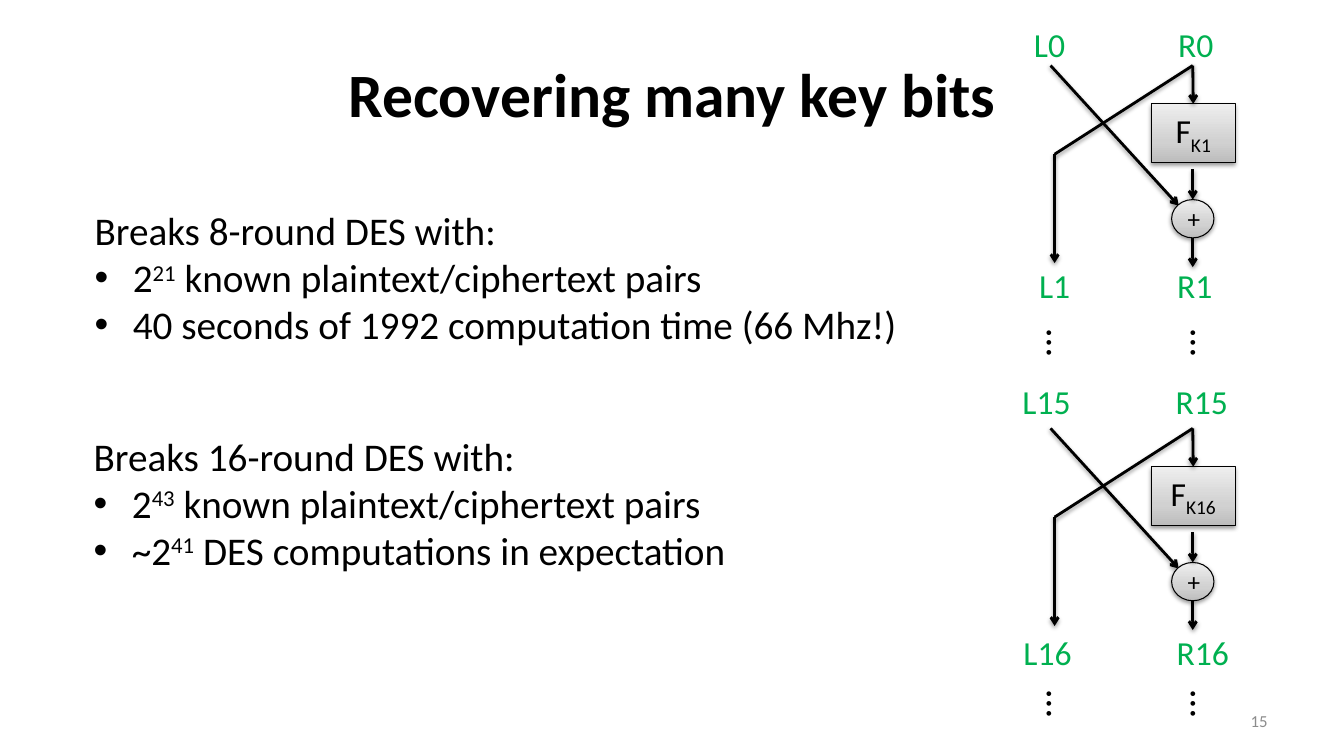
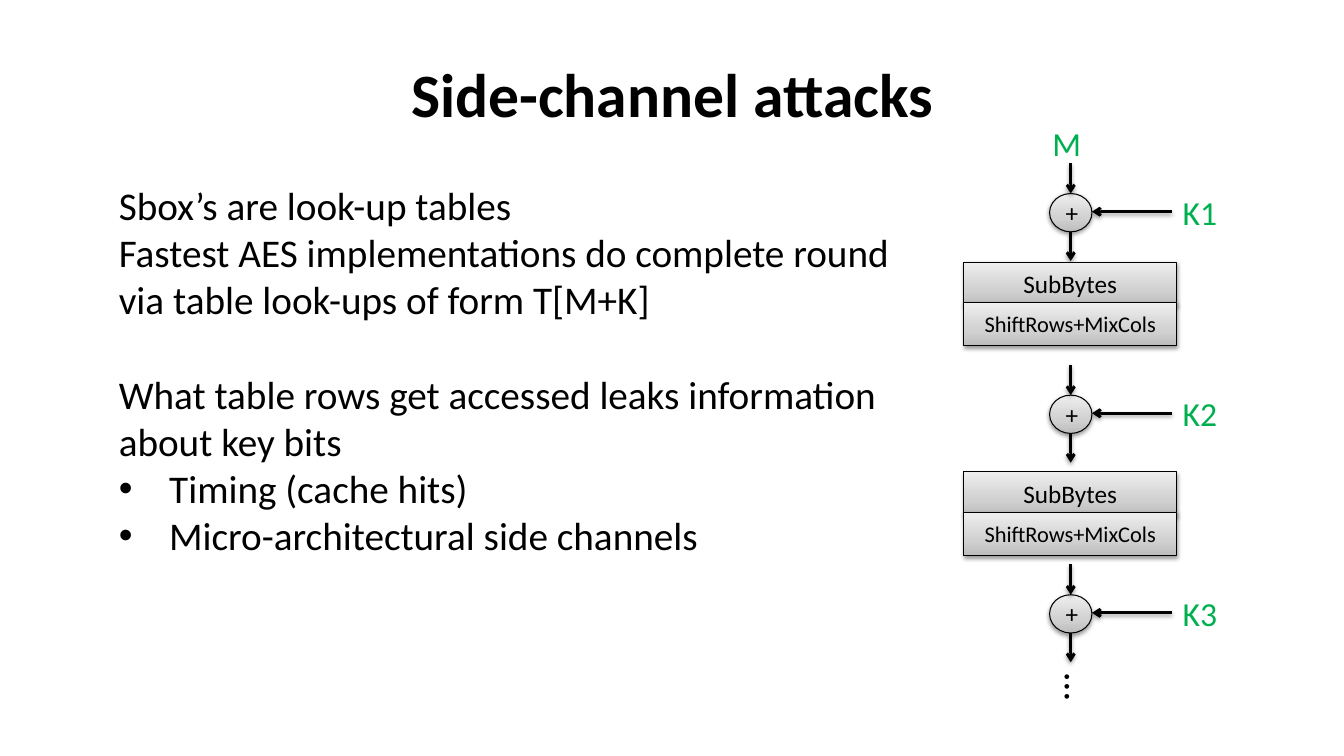
"""Build two lecture slides on attacks against block ciphers."""
from copy import deepcopy

from lxml.etree import SubElement
from pptx import Presentation
from pptx.dml.color import RGBColor
from pptx.enum.shapes import MSO_CONNECTOR, MSO_SHAPE
from pptx.enum.text import MSO_ANCHOR, PP_ALIGN
from pptx.oxml.ns import qn
from pptx.util import Inches, Pt

BLACK = RGBColor(0x00, 0x00, 0x00)
GREEN = RGBColor(0x00, 0xB0, 0x50)
GREY = RGBColor(0x8C, 0x8C, 0x8C)
SHADES = (
    (0, RGBColor(0xBD, 0xBD, 0xBD)),
    (0.35, RGBColor(0xD1, 0xD1, 0xD1)),
    (1, RGBColor(0xEE, 0xEE, 0xEE)),
)
FONT = "Calibri"
SUPERSCRIPT, SUBSCRIPT = "30000", "-25000"


def write_text(frame, text, size=28, color=BLACK, bold=False, align=PP_ALIGN.LEFT,
               anchor=MSO_ANCHOR.TOP, wrap=True, script=SUPERSCRIPT, indent=0.38, gaps=None):
    """Fill a frame line by line; "•" starts a bullet and bars enclose raised or lowered text."""
    frame.word_wrap = wrap
    frame.vertical_anchor = anchor
    for index, line in enumerate(text.split("\n")):
        paragraph = frame.add_paragraph() if index else frame.paragraphs[0]
        paragraph.alignment = align
        if gaps and index in gaps:
            paragraph.space_before = Pt(gaps[index])
        if line.startswith("•"):
            line = line[1:]
            properties = paragraph._p.get_or_add_pPr()
            properties.set("marL", str(Inches(indent)))
            properties.set("indent", str(-Inches(indent)))
            SubElement(properties, qn("a:buFont"), typeface="Arial")
            SubElement(properties, qn("a:buChar"), char="•")
        for position, part in enumerate(line.split("|")):
            if not part:
                continue
            run = paragraph.add_run()
            run.text = part
            run.font.name = FONT
            run.font.size = Pt(size)
            run.font.bold = bold
            run.font.color.rgb = color
            if position % 2:
                run._r.get_or_add_rPr().set("baseline", script)


class Deck:
    """Hold the shared style and the slide being built."""

    def __init__(self):
        self.presentation = Presentation()
        self.presentation.slide_width = Inches(13.33)
        self.presentation.slide_height = Inches(7.5)
        self.slide = None

    def new_slide(self, title):
        self.slide = self.presentation.slides.add_slide(self.presentation.slide_layouts[6])
        self.text(title, 0.67, 0.3, 12, 1.25, size=44, bold=True,
                  align=PP_ALIGN.CENTER, anchor=MSO_ANCHOR.MIDDLE)

    def text(self, content, left, top, width, height, **style):
        box = self.slide.shapes.add_textbox(
            Inches(left), Inches(top), Inches(width), Inches(height))
        write_text(box.text_frame, content, **style)
        return box

    def label(self, content, center, top):
        self.text(content, center - 0.4, top, 0.8, 0.5, size=24, color=GREEN,
                  align=PP_ALIGN.CENTER, wrap=False)

    def dots(self, left, top):
        self.text("…", left, top, 0.47, 0.57, wrap=False).rotation = 90

    def page_number(self, number):
        self.text(number, 9.56, 6.95, 3.11, 0.4, size=12, color=GREY,
                  align=PP_ALIGN.RIGHT, anchor=MSO_ANCHOR.MIDDLE)

    def cast_shadow(self, item):
        effects = SubElement(item._element.spPr, qn("a:effectLst"))
        shadow = SubElement(effects, qn("a:outerShdw"), blurRad=str(Pt(3.1)),
                            dist=str(Pt(1.6)), dir="5400000", rotWithShape="0")
        tint = SubElement(shadow, qn("a:srgbClr"), val=str(BLACK))
        SubElement(tint, qn("a:alpha"), val="38000")

    def block(self, content, left, top, width, height, size=18, kind=MSO_SHAPE.RECTANGLE):
        shape = self.slide.shapes.add_shape(
            kind, Inches(left), Inches(top), Inches(width), Inches(height))
        shape.fill.gradient()
        shape.fill.gradient_angle = 90
        stops = shape._element.spPr.find(".//" + qn("a:gsLst"))
        stops.insert(1, deepcopy(stops[0]))
        for stop, (position, shade) in zip(shape.fill.gradient_stops, SHADES):
            stop.position = position
            stop.color.rgb = shade
        shape.line.color.rgb = BLACK
        shape.line.width = Pt(0.75)
        self.cast_shadow(shape)
        write_text(shape.text_frame, content, size=size, align=PP_ALIGN.CENTER,
                   anchor=MSO_ANCHOR.MIDDLE, script=SUBSCRIPT)
        return shape

    def line(self, start, end, arrow=True, target=None):
        points = [Inches(value) for value in (*start, *end)]
        connector = self.slide.shapes.add_connector(MSO_CONNECTOR.STRAIGHT, *points)
        if target is not None:
            connector.end_connect(target, 0)
        connector.line.color.rgb = BLACK
        connector.line.width = Pt(2)
        if arrow:
            SubElement(connector._element.spPr.find(qn("a:ln")), qn("a:tailEnd"), type="arrow")
        self.cast_shadow(connector)

    def xor(self, center, top):
        """Draw an adder with an arrow into it and one out of it."""
        self.block("+", center - 0.21, top, 0.42, 0.38, kind=MSO_SHAPE.OVAL)
        self.line((center, top - 0.3), (center, top))
        self.line((center, top + 0.38), (center, top + 0.67))

    def feistel_round(self, key, top):
        """Draw one Feistel round whose inputs enter at the given height."""
        left, right = 10.46, 11.83
        function = self.block(f"F|{key}|", 11.42, top + 0.38, 0.83, 0.58, size=24)
        self.line((right, top), (right, top + 0.38), target=function)
        self.line((10.42, top), (11.69, top + 1.39))
        self.line((right, top), (left, top + 0.88), arrow=False)
        self.line((left, top + 0.88), (left, top + 1.96))
        self.xor(right, top + 1.33)

    def aes_layers(self, top):
        """Draw the two stacked layers of an AES round."""
        self.block("SubBytes", 9.56, top, 2.11, 0.43)
        self.block("ShiftRows+MixCols", 9.56, top + 0.4, 2.11, 0.43, size=16)


def key_recovery(deck):
    """Build the slide on recovering key bits."""
    deck.new_slide("Recovering many key bits")
    deck.page_number("15")
    for key, top in (("K1", 0.65), ("K16", 4.25)):
        deck.feistel_round(key, top)
    for number, left, right, top in (
        (0, 10.41, 11.86, 0.19),
        (1, 10.46, 11.85, 2.58),
        (15, 10.38, 11.92, 3.73),
        (16, 10.39, 11.93, 6.22),
    ):
        deck.label(f"L{number}", left, top)
        deck.label(f"R{number}", right, top)
    for top in (3.12, 6.7):
        for left in (10.3, 11.73):
            deck.dots(left, top)
    deck.text("Breaks 8-round DES with:\n"
              "•2|21| known plaintext/ciphertext pairs\n"
              "•40 seconds of 1992 computation time (66 Mhz!)", 0.84, 2, 8.24, 1.51)
    deck.text("Breaks 16-round DES with:\n"
              "•2|43| known plaintext/ciphertext pairs\n"
              "•~2|41| DES computations in expectation", 0.83, 4.24, 7.99, 1.51)


def side_channels(deck):
    """Build the slide on side-channel attacks."""
    deck.new_slide("Side-channel attacks")
    deck.text("Sbox’s are look-up tables\n"
              "Fastest AES implementations do complete round via table look-ups of form T[M+K]\n"
              "What table rows get accessed leaks information about key bits\n"
              "•Timing (cache hits)\n"
              "•Micro-architectural side channels",
              1.08, 1.75, 7.92, 3.87, indent=0.5, gaps={2: 34})
    center = 10.62
    deck.label("M", 10.58, 1.17)
    for key, top in (("K1", 1.92), ("K2", 3.92), ("K3", 5.9)):
        deck.xor(center, top)
        deck.label(key, 11.9, top - 0.07)
        deck.line((11.62, top + 0.18), (center + 0.21, top + 0.18))
    for top in (2.6, 4.68):
        deck.aes_layers(top)
    deck.dots(10.48, 6.53)


def main():
    """Build and save the deck."""
    deck = Deck()
    key_recovery(deck)
    side_channels(deck)
    deck.presentation.save("out.pptx")


if __name__ == "__main__":
    main()
